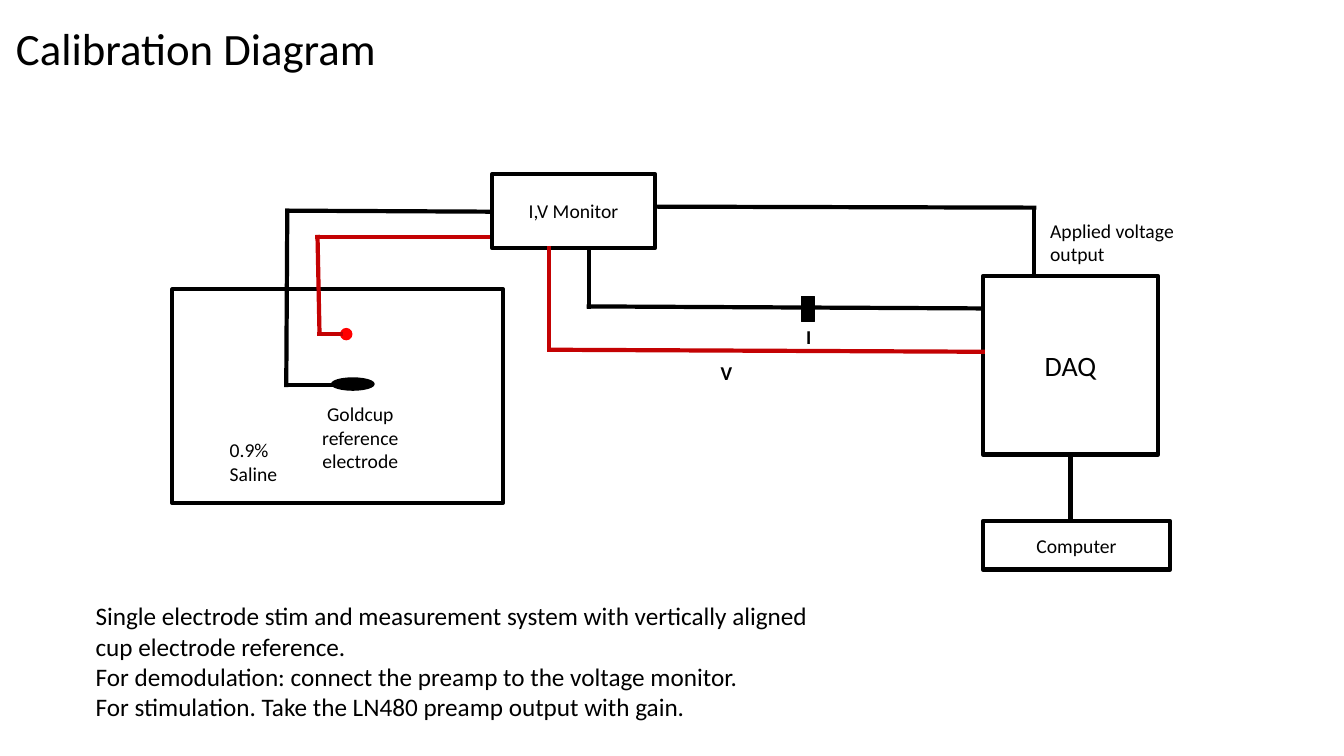
from itertools import pairwise
from lxml.etree import SubElement
from pptx import Presentation
from pptx.dml.color import RGBColor
from pptx.enum.shapes import MSO_CONNECTOR, MSO_SHAPE
from pptx.enum.text import MSO_ANCHOR, PP_ALIGN
from pptx.oxml.ns import qn
from pptx.util import Inches, Pt

COLS, ROWS = 40, 22.5  # square cells, three to the inch
HUES = {"ink": "000000", "paper": "FFFFFF", "wire": "C40203", "dot": "FF0000"}

deck = Presentation()
deck.slide_width, deck.slide_height = Inches(13.333), Inches(7.5)
slide = deck.slides.add_slide(deck.slide_layouts[6])
cell = deck.slide_height / ROWS


def hue(name):
    return RGBColor.from_string(HUES[name])


def place(box, col, row, wide, high):
    """Cells relative to a region's box, as slide lengths."""
    return [round(n * cell) for n in (box[0] + col, box[1] + row, wide, high)]


def write(frame, lines, size, align=PP_ALIGN.LEFT, bold=False, gap=None):
    frame.word_wrap = True
    for i, line in enumerate(lines):
        para = frame.paragraphs[0] if i == 0 else frame.add_paragraph()
        para.text, para.alignment, para.line_spacing = line, align, gap
        style = {"name": "Calibri", "size": Pt(size), "bold": bold}
        for key, value in style.items():
            setattr(para.font, key, value)
        para.font.color.rgb = hue("ink")


def label(box, spot, lines, size=14, anchor=MSO_ANCHOR.TOP, **style):
    frame = slide.shapes.add_textbox(*place(box, *spot)).text_frame
    frame.vertical_anchor = anchor
    write(frame, lines, size, **style)


def block(box, spot, text="", size=14, kind=MSO_SHAPE.RECTANGLE,
          fill="paper", line="ink", width=3):
    shape = slide.shapes.add_shape(kind, *place(box, *spot))
    shape.shadow.inherit = False
    shape.fill.solid()
    shape.fill.fore_color.rgb = hue(fill)
    shape.line.color.rgb = hue(line)
    shape.line.width = Pt(width)
    if text:
        shape.text_frame.vertical_anchor = MSO_ANCHOR.MIDDLE
        write(shape.text_frame, [text], size, align=PP_ALIGN.CENTER)


def wire(box, color, *points):
    """Straight runs through the points, with square ends to close corners."""
    for start, end in pairwise(points):
        ends = place(box, *start, 0, 0)[:2] + place(box, *end, 0, 0)[:2]
        run = slide.shapes.add_connector(MSO_CONNECTOR.STRAIGHT, *ends)
        run.line.color.rgb = hue(color)
        run.line.width = Pt(3)
        run.line._get_or_add_ln().set("cap", "sq")
        SubElement(run._element.spPr, qn("a:effectLst"))


def title(box):
    label(box, (0, 0, *box[2:]), ["Calibration Diagram"], 32,
          anchor=MSO_ANCHOR.MIDDLE, gap=0.9)


def tank(box):
    block(box, (0, 0, *box[2:]))
    # Electrodes
    for spot, color in (((5.01, 1.17, 0.33, 0.33), "dot"),
                        ((4.74, 2.64, 1.26, 0.36), "ink")):
        block(box, spot, kind=MSO_SHAPE.OVAL, fill=color, line=color, width=1)
    # Leads from the monitor
    wire(box, "wire", (9.51, -1.56), (4.32, -1.56), (4.38, 1.32), (5.01, 1.32))
    wire(box, "ink", (9.51, -2.31), (3.42, -2.34), (3.39, 2.85), (5.37, 2.85))
    # Labels
    label(box, (1.41, 4.29, 3.24, 1.71), ["0.9% Saline"])
    label(box, (3.6, 3.21, 3.99, 2.43), ["Goldcup reference electrode"],
          align=PP_ALIGN.CENTER)


def logger(box):
    wide, high = box[2:]
    block(box, (0, 0, wide, high), "DAQ", 20)
    label(box, (1.71, -1.86, 4.41, 1.71), ["Applied voltage output"])
    # Computer and its link
    drop = high + 1.98
    wire(box, "ink", (wide / 2, high), (wide / 2, drop))
    block(box, (0, drop, 5.58, 1.44), "Computer")


def monitor(box):
    wide, high = box[2:]
    block(box, (0, 0, wide, high), "I,V Monitor")
    # Applied voltage, current and voltage lines
    wire(box, "ink", (wide, 0.96), (16.14, 0.99), (16.14, 3.03))
    wire(box, "ink", (2.88, high), (2.88, 3.93), (14.61, 3.99))
    wire(box, "wire", (1.71, high), (1.71, 5.22), (14.61, 5.28))
    # Resistor and line names
    block(box, (9.21, 3.63, 0.39, 0.75), fill="ink", width=1)
    for name, col, row in (("I", 9.06, 4.32), ("V", 6.51, 5.4)):
        label(box, (col, row, 1.08, 1.02), [name], bold=True)


def notes(box):
    label(box, (0, 0, *box[2:]), [
        "Single electrode stim and measurement system with vertically aligned "
        "cup electrode reference.",
        "For demodulation: connect the preamp to the voltage monitor.",
        "For stimulation. Take the LN480 preamp output with gain.",
    ], 18)


def main():
    # Each region's box: column, row, width, height
    title((0.18, 0.3, 13.05, 2.46))
    tank((5.13, 8.61, 9.84, 6.36))
    logger((29.25, 8.22, 5.22, 5.31))
    monitor((14.64, 5.19, 4.86, 2.19))
    notes((2.55, 17.73, 22.92, 3.93))
    deck.save("out.pptx")


if __name__ == "__main__":
    main()
